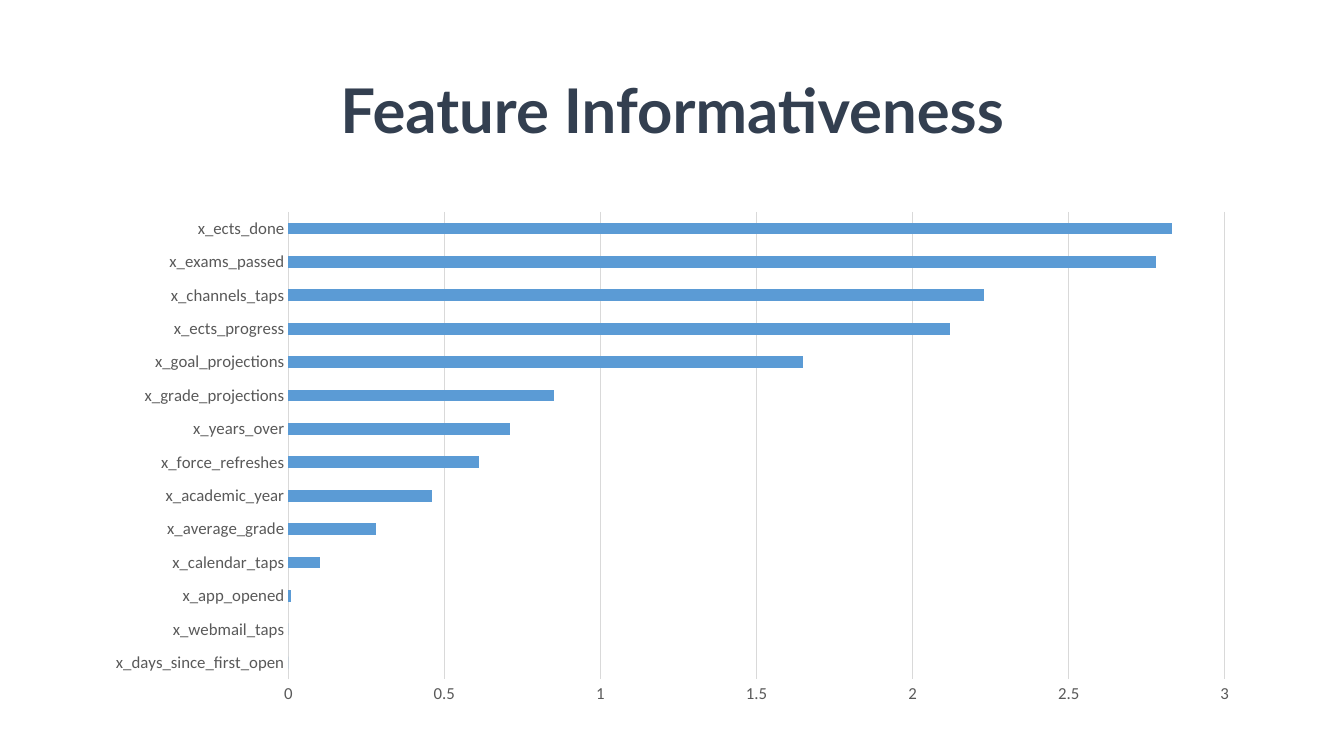
from typing import NamedTuple

from pptx import Presentation
from pptx.chart.data import CategoryChartData
from pptx.dml.color import RGBColor
from pptx.enum.chart import XL_CHART_TYPE, XL_TICK_MARK
from pptx.enum.text import MSO_ANCHOR, PP_ALIGN
from pptx.util import Pt

BAR = XL_CHART_TYPE.BAR_CLUSTERED
NO_TICK = XL_TICK_MARK.NONE
MIDDLE = MSO_ANCHOR.MIDDLE
CENTER = PP_ALIGN.CENTER

PX = 9144  # EMU in one px, at 100 px to the inch
NAVY, BLUE, GRAY, SILVER = "333F50", "5B9BD5", "595959", "D9D9D9"


class Box(NamedTuple):
    left: int
    top: int
    width: int
    height: int


class Feature(NamedTuple):
    name: str
    score: float


# Listed from the lowest bar to the highest
FEATURES = [
    Feature("x_days_since_first_open", 0),
    Feature("x_webmail_taps", 0),
    Feature("x_app_opened", 0.01),
    Feature("x_calendar_taps", 0.1),
    Feature("x_average_grade", 0.28),
    Feature("x_academic_year", 0.46),
    Feature("x_force_refreshes", 0.61),
    Feature("x_years_over", 0.71),
    Feature("x_grade_projections", 0.85),
    Feature("x_goal_projections", 1.65),
    Feature("x_ects_progress", 2.12),
    Feature("x_channels_taps", 2.23),
    Feature("x_exams_passed", 2.78),
    Feature("x_ects_done", 2.83),
]


def color(code: str) -> RGBColor:
    return RGBColor.from_string(code)


def scale(box: Box) -> list[int]:
    return [side * PX for side in box]


def style(font, face: str, size: int, code: str, bold: bool = False) -> None:
    font.name = face
    font.size = Pt(size)
    font.bold = bold
    font.color.rgb = color(code)


def rule(line) -> None:
    line.color.rgb = color(SILVER)
    line.width = Pt(0.75)


def add_title(slide, box: Box, text: str) -> None:
    frame = slide.shapes.add_textbox(*scale(box)).text_frame
    frame.word_wrap = True
    frame.vertical_anchor = MIDDLE
    frame.text = text
    para = frame.paragraphs[0]
    para.alignment = CENTER
    para.line_spacing = 0.9
    style(para.runs[0].font, "Lato", 44, NAVY, bold=True)


def add_bars(slide, box: Box, items: list[Feature]) -> None:
    data = CategoryChartData()
    data.categories = [item.name for item in items]
    data.add_series("Series 1", [item.score for item in items])
    chart = slide.shapes.add_chart(BAR, *scale(box), data).chart
    chart.has_legend = False
    chart.has_title = False
    style(chart.font, "Calibri", 10, "000000")

    # Bars
    plot = chart.plots[0]
    plot.gap_width = 182
    plot.vary_by_categories = False
    fill = plot.series[0].format.fill
    fill.solid()
    fill.fore_color.rgb = color(BLUE)

    # Axes and grid
    names, scores = chart.category_axis, chart.value_axis
    for axis in (names, scores):
        axis.major_tick_mark = axis.minor_tick_mark = NO_TICK
        style(axis.tick_labels.font, "Calibri", 12, GRAY)
    rule(names.format.line)
    scores.format.line.fill.background()
    scores.minimum_scale, scores.maximum_scale, scores.major_unit = 0, 3, 0.5
    scores.has_major_gridlines = True
    rule(scores.major_gridlines.format.line)


def main() -> None:
    deck = Presentation()
    deck.slide_width, deck.slide_height = 1333 * PX, 750 * PX
    slide = deck.slides.add_slide(deck.slide_layouts[6])
    add_title(slide, Box(92, 40, 1150, 145), "Feature Informativeness")
    add_bars(slide, Box(92, 200, 1150, 508), FEATURES)
    deck.save("out.pptx")


if __name__ == "__main__":
    main()
